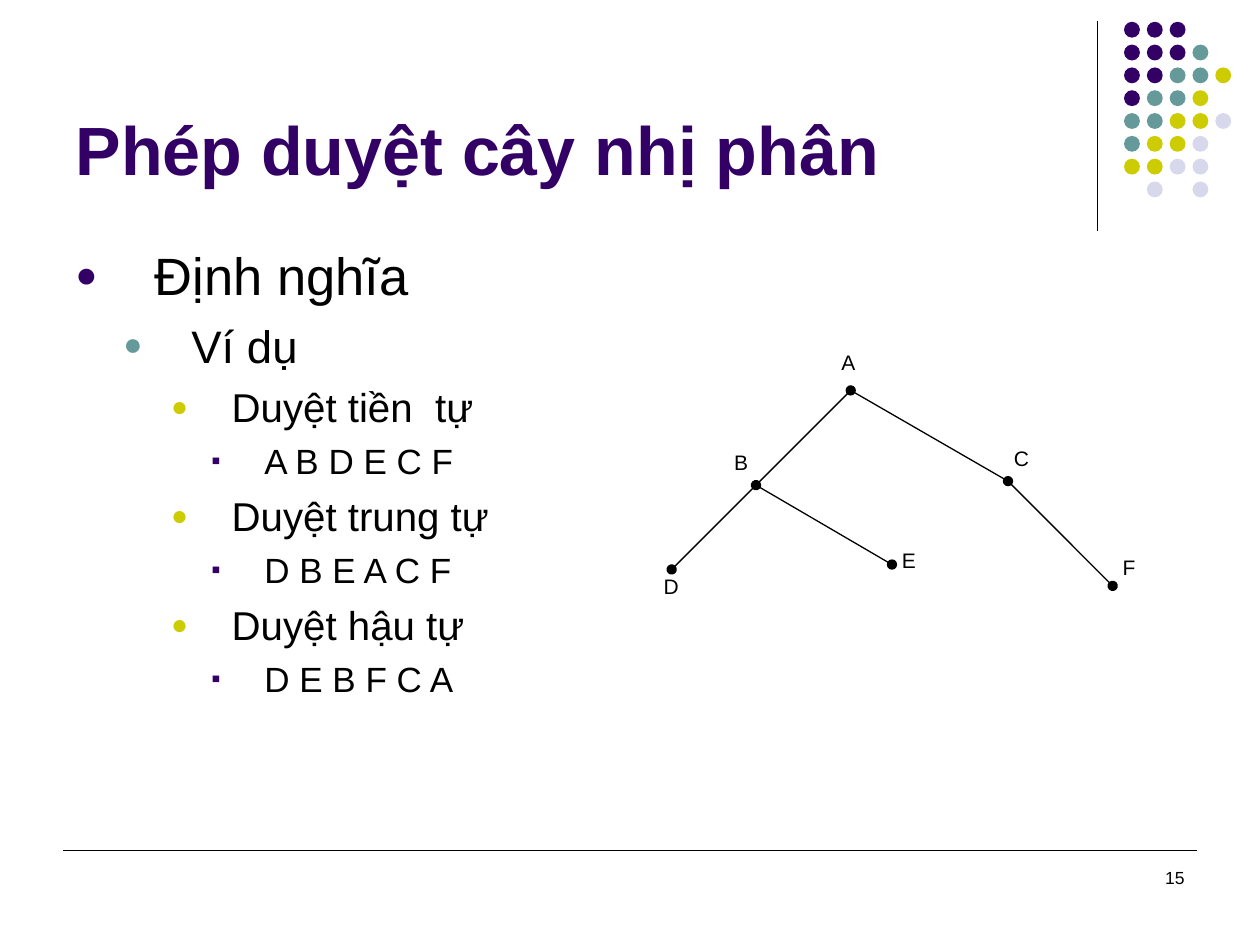
from lxml import etree
from pptx import Presentation
from pptx import util as u
from pptx.dml.color import RGBColor
from pptx.enum import shapes, text
from pptx.oxml import ns

Cm, Pt = u.Cm, u.Pt
FONT = "Arial"
COLORS = {
    "black": "000000",
    "purple": "330066",
    "teal": "669999",
    "olive": "CCCC00",
    "lilac": "D8D8EC",
}

# One letter per dot: the first letter of its colour, a blank for a gap
DOT_ROWS = ["ppp", "pppt", "pptto", "ptto", "ttool", "tool", "ooll", " l l"]
DOT_COLORS = {name[0]: name for name in ("purple", "teal", "olive", "lilac")}
DOT_LEFT, DOT_TOP, DOT_PITCH, DOT_SIZE = 22.66, 0.44, 0.46, 0.32

# Per outline level: text size, space before, left margin, hanging indent,
# bullet character, bullet colour, bullet size in percent
LEVELS = [
    (30, 7.5, 1.6, 1.6, "●", "purple", 70),
    (26, 6.5, 2.34, 1.37, "●", "teal", 70),
    (23, 5.8, 3.15, 1.22, "●", "olive", 70),
    (20, 5, 3.81, 1.07, "▪", "purple", 75),
]
OUTLINE = [
    (0, "Định nghĩa"),
    (1, "Ví dụ"),
    (2, "Duyệt tiền  tự"),
    (3, "A B D E C F"),
    (2, "Duyệt trung tự"),
    (3, "D B E A C F"),
    (2, "Duyệt hậu tự"),
    (3, "D E B F C A"),
]

# Tree: node -> (point, top left of its label); edges with their oval ends
NODES = {
    "A": ((17.15, 7.87), (16.71, 6.93)),
    "B": ((15.24, 9.78), (14.55, 8.94)),
    "C": ((20.32, 9.7), (20.19, 8.86)),
    "D": ((13.54, 11.48), (13.13, 11.43)),
    "E": ((17.98, 11.38), (17.93, 10.92)),
    "F": ((22.43, 11.81), (22.38, 11.05)),
}
EDGES = [
    ("A", "B", ()),
    ("A", "C", ("headEnd", "tailEnd")),
    ("B", "E", ("tailEnd",)),
    ("B", "D", ("headEnd", "tailEnd")),
    ("C", "F", ("tailEnd",)),
]


def rgb(name):
    return RGBColor.from_string(COLORS[name])


def add_child(parent, tag, **attributes):
    return etree.SubElement(parent, ns.qn(tag), attributes)


def add_run(paragraph, wording, size, color="black", bold=False):
    run = paragraph.add_run()
    run.text = wording
    run.font.name = FONT
    run.font.size = Pt(size)
    run.font.bold = bold
    run.font.color.rgb = rgb(color)


def add_textbox(slide, left, top, width, height):
    frame = slide.shapes.add_textbox(Cm(left), Cm(top), Cm(width), Cm(height)).text_frame
    frame.word_wrap = True
    return frame


def add_line(slide, start, end, oval_ends=()):
    line = slide.shapes.add_connector(
        shapes.MSO_CONNECTOR.STRAIGHT, *(Cm(value) for value in (*start, *end)))
    line.line.color.rgb = rgb("black")
    line.line.width = Pt(0.75)
    for end_tag in oval_ends:
        add_child(line.line._get_or_add_ln(), f"a:{end_tag}", type="oval")
    add_child(line._element.spPr, "a:effectLst")


def add_dot(slide, row, column, color):
    dot = slide.shapes.add_shape(
        shapes.MSO_SHAPE.OVAL,
        Cm(DOT_LEFT + column * DOT_PITCH), Cm(DOT_TOP + row * DOT_PITCH),
        Cm(DOT_SIZE), Cm(DOT_SIZE))
    dot.shadow.inherit = False
    dot.fill.solid()
    dot.fill.fore_color.rgb = rgb(color)
    dot.line.fill.background()


def add_decoration(slide):
    add_line(slide, (22.12, 0.43), (22.12, 4.65))
    for row, letters in enumerate(DOT_ROWS):
        for column, letter in enumerate(letters):
            if letter in DOT_COLORS:
                add_dot(slide, row, column, DOT_COLORS[letter])
    add_line(slide, (1.27, 17.15), (24.13, 17.15))


def fill_title(slide, wording):
    title = slide.shapes.title
    title.left, title.top, title.width, title.height = Cm(1.27), Cm(0.33), Cm(20.96), Cm(3.61)
    frame = title.text_frame
    frame.auto_size = text.MSO_AUTO_SIZE.NONE
    frame.vertical_anchor = text.MSO_ANCHOR.BOTTOM
    paragraph = frame.paragraphs[0]
    paragraph.alignment = text.PP_ALIGN.LEFT
    add_run(paragraph, wording, 39, "purple", bold=True)


def add_outline(slide):
    frame = add_textbox(slide, 1.27, 4.78, 22.86, 12.24)
    for index, (level, wording) in enumerate(OUTLINE):
        size, before, margin, hanging, bullet, color, percent = LEVELS[level]
        paragraph = frame.add_paragraph() if index else frame.paragraphs[0]
        paragraph.level = level
        paragraph.space_before = Pt(before)
        properties = paragraph._p.get_or_add_pPr()
        properties.set("marL", str(Cm(margin)))
        properties.set("indent", str(-Cm(hanging)))
        bullet_color = add_child(properties, "a:buClr")
        add_child(bullet_color, "a:srgbClr", val=COLORS[color])
        add_child(properties, "a:buSzPct", val=str(percent * 1000))
        add_child(properties, "a:buFont", typeface=FONT)
        add_child(properties, "a:buChar", char=bullet)
        add_run(paragraph, wording, size)


def add_tree(slide):
    for parent, child, oval_ends in EDGES:
        add_line(slide, NODES[parent][0], NODES[child][0], oval_ends)
    for name, (_, label_corner) in NODES.items():
        label = add_textbox(slide, *label_corner, 1.27, 1.07)
        add_run(label.paragraphs[0], name, 12)


def add_page_number(slide, number):
    paragraph = add_textbox(slide, 18.21, 17.35, 5.92, 1.27).paragraphs[0]
    paragraph.alignment = text.PP_ALIGN.RIGHT
    add_run(paragraph, number, 10)


def main():
    deck = Presentation()
    deck.slide_width, deck.slide_height = Cm(25.4), Cm(19.05)
    slide = deck.slides.add_slide(deck.slide_layouts[5])
    add_decoration(slide)
    add_page_number(slide, "15")
    fill_title(slide, "Phép duyệt cây nhị phân")
    add_outline(slide)
    add_tree(slide)
    deck.save("out.pptx")


if __name__ == "__main__":
    main()
